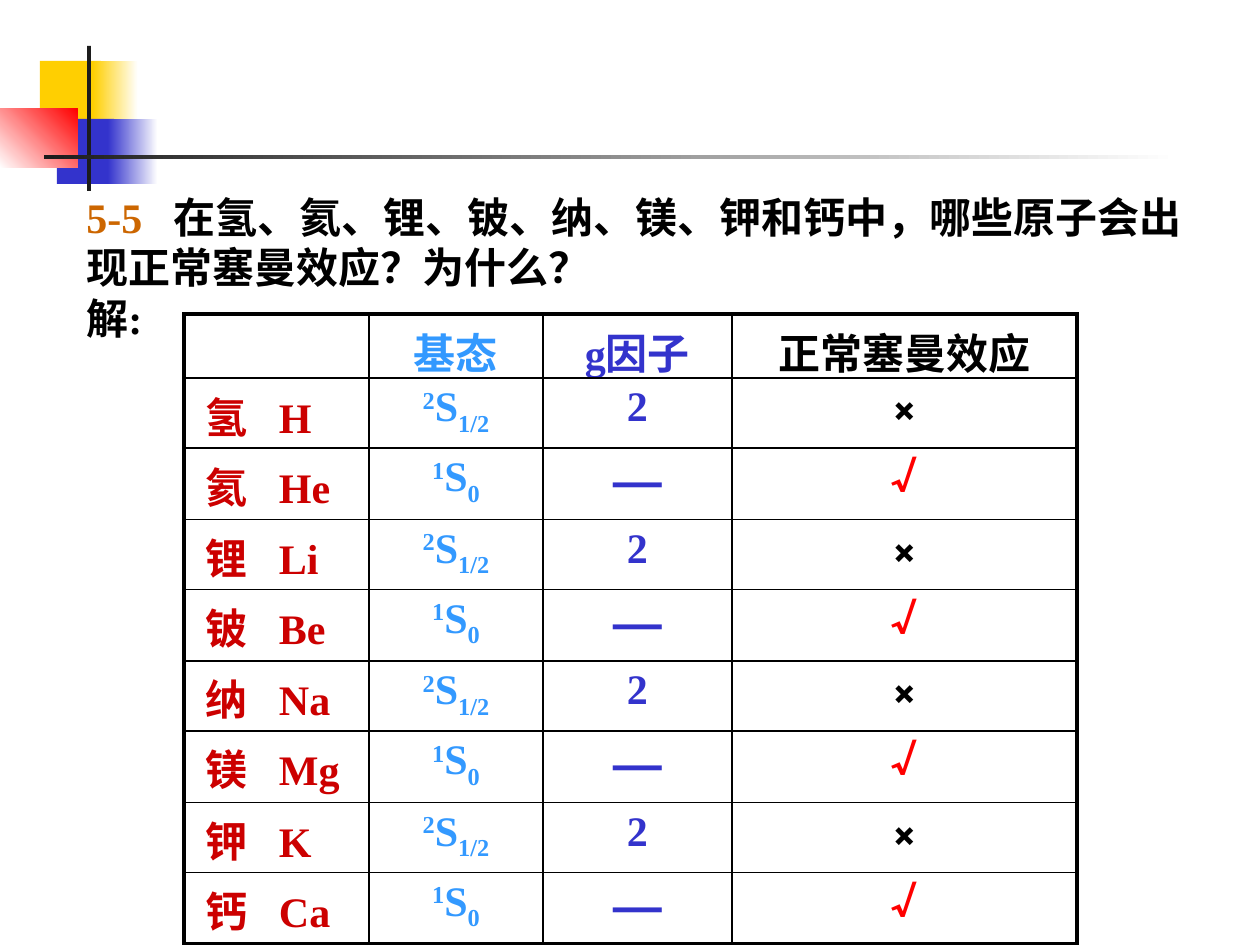
from dataclasses import dataclass

from lxml import etree
from pptx import Presentation
from pptx.dml.color import RGBColor
from pptx.enum.shapes import MSO_SHAPE
from pptx.enum.text import MSO_ANCHOR, PP_ALIGN
from pptx.oxml.ns import qn
from pptx.util import Pt

RECT = MSO_SHAPE.RECTANGLE
MIDDLE = MSO_ANCHOR.MIDDLE
LEFT, CENTER = PP_ALIGN.LEFT, PP_ALIGN.CENTER

BLACK = RGBColor(0x00, 0x00, 0x00)
WHITE = RGBColor(0xFF, 0xFF, 0xFF)
GOLD = RGBColor(0xFF, 0xCF, 0x01)
BLUE = RGBColor(0x33, 0x33, 0xCC)
SKY = RGBColor(0x33, 0x99, 0xFF)
RED = RGBColor(0xFF, 0x00, 0x00)
CRIMSON = RGBColor(0xCC, 0x00, 0x00)
ORANGE = RGBColor(0xCC, 0x66, 0x00)
DARK = RGBColor(0x1C, 0x1C, 0x1C)

SERIF, SANS, MARK = "Times New Roman", "Arial", "Karla"
SUPER, SUB = 30, -25
THIN, THICK = 1, 2.25


def px(n: int) -> int:
    """Turn px (126 to the inch) into EMU."""
    return round(n * 914400 / 126)


@dataclass
class Block:
    x: int
    y: int
    w: int
    h: int
    start: RGBColor
    end: RGBColor | None = None
    angle: int = 0


@dataclass
class Atom:
    name: str
    symbol: str
    normal: bool


BLOCKS = [
    Block(40, 61, 61, 65, GOLD),
    Block(93, 61, 45, 65, GOLD, WHITE),
    Block(57, 119, 57, 65, BLUE),
    Block(108, 119, 50, 65, BLUE, WHITE),
    Block(0, 109, 78, 59, WHITE, RED, 45),
    Block(87, 46, 4, 145, DARK),
    Block(44, 155, 1134, 4, DARK, WHITE),
]
ATOMS = [
    Atom("氢", "H", False),
    Atom("氦", "He", True),
    Atom("锂", "Li", False),
    Atom("铍", "Be", True),
    Atom("纳", "Na", False),
    Atom("镁", "Mg", True),
    Atom("钾", "K", False),
    Atom("钙", "Ca", True),
]
HEADS = [("基态", SKY), ("g因子", BLUE), ("正常塞曼效应", BLACK)]
WIDTHS = [185, 174, 189, 345]
HEAD_H, ROW_H = 64, 70


def draw_block(slide, block: Block) -> None:
    shape = slide.shapes.add_shape(
        RECT, px(block.x), px(block.y), px(block.w), px(block.h))
    shape.shadow.inherit = False
    shape.line.fill.background()
    if block.end is None:
        shape.fill.solid()
        shape.fill.fore_color.rgb = block.start
        return
    shape.fill.gradient()
    shape.fill.gradient_angle = block.angle
    for stop, color in zip(shape.fill.gradient_stops, (block.start, block.end)):
        stop.color.rgb = color


def write(para, text: str, *, color: RGBColor = BLACK, font: str = SERIF,
          size: int = 24, base: int = 0, align=LEFT) -> None:
    """Add one bold run to a paragraph; base is its rise in percent."""
    para.alignment = align
    run = para.add_run()
    run.text = text
    run.font.name = font
    run.font.size = Pt(size)
    run.font.bold = True
    run.font.color.rgb = color
    if base:
        run.font._element.set("baseline", str(base * 1000))


def add_tab(para, pos: int) -> None:
    tabs = etree.SubElement(para._p.get_or_add_pPr(), qn("a:tabLst"))
    etree.SubElement(tabs, qn("a:tab"), pos=str(px(pos)), algn="l")


def draw_border(cell, side: str, width: float) -> None:
    line = etree.SubElement(cell._tc.get_or_add_tcPr(), qn(f"a:ln{side}"),
                            w=str(Pt(width)))
    fill = etree.SubElement(line, qn("a:solidFill"))
    etree.SubElement(fill, qn("a:srgbClr"), val=str(BLACK))


def draw_task(slide) -> None:
    box = slide.shapes.add_textbox(px(74), px(185), px(1131), px(164))
    frame = box.text_frame
    frame.word_wrap = True
    frame.vertical_anchor = MIDDLE
    para = frame.paragraphs[0]
    add_tab(para, 87)
    write(para, "5-5\t", color=ORANGE)
    write(para, "在氢、氦、锂、铍、纳、镁、钾和钙中，哪些原子会出现正常塞曼效应？为什么？")
    write(frame.add_paragraph(), "解:")


def fill_row(cells: list, atom: Atom) -> None:
    name, state, factor, effect = [c.text_frame.paragraphs[0] for c in cells]
    cells[0].margin_left = px(22)
    add_tab(name, 73)
    write(name, f"{atom.name}\t{atom.symbol}", color=CRIMSON)
    spin, level = ("1", "0") if atom.normal else ("2", "1/2")
    for text, base in ((spin, SUPER), ("S", 0), (level, SUB)):
        write(state, text, color=SKY, base=base, align=CENTER)
    if atom.normal:
        write(factor, "—", color=BLUE, font=SANS, size=28, align=CENTER)
        write(effect, "√", color=RED, font=MARK, align=CENTER)
    else:
        write(factor, "2", color=BLUE, align=CENTER)
        write(effect, "×", font=MARK, align=CENTER)


def draw_table(slide) -> None:
    rows, cols = len(ATOMS) + 1, len(WIDTHS)
    heights = [HEAD_H] + [ROW_H] * len(ATOMS)
    table = slide.shapes.add_table(rows, cols, px(184), px(314),
                                   px(sum(WIDTHS)), px(sum(heights))).table
    table.first_row = table.horz_banding = False
    for col, width in zip(table.columns, WIDTHS):
        col.width = px(width)
    for row, height in zip(table.rows, heights):
        row.height = px(height)
    for r in range(rows):
        for c in range(cols):
            cell = table.cell(r, c)
            edges = {"L": c == 0, "R": c == cols - 1,
                     "T": r == 0, "B": r == rows - 1}
            for side, outer in edges.items():
                draw_border(cell, side, THICK if outer else THIN)
            cell.fill.background()
            if r == 0:
                cell.margin_bottom = 0
    for c, (text, color) in enumerate(HEADS, 1):
        write(table.cell(0, c).text_frame.paragraphs[0], text,
              color=color, align=CENTER)
    for r, atom in enumerate(ATOMS, 1):
        fill_row([table.cell(r, c) for c in range(cols)], atom)


def main() -> None:
    deck = Presentation()
    deck.slide_width, deck.slide_height = px(1260), px(945)
    slide = deck.slides.add_slide(deck.slide_layouts[6])
    for block in BLOCKS:
        draw_block(slide, block)
    draw_task(slide)
    draw_table(slide)
    deck.save("out.pptx")


if __name__ == "__main__":
    main()
